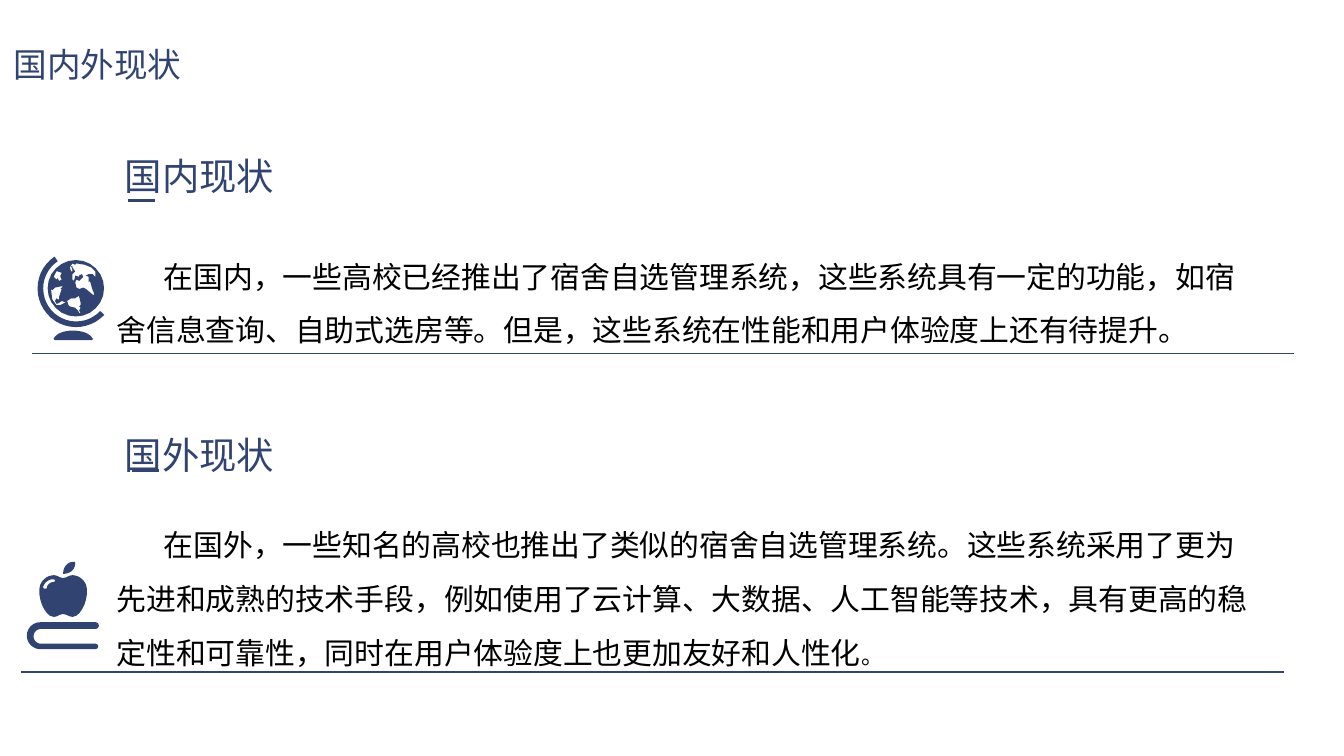
from math import cos, radians, sin
from typing import NamedTuple

from lxml import etree
from pptx import Presentation
from pptx.dml.color import RGBColor
from pptx.enum.shapes import MSO_CONNECTOR
from pptx.enum.text import MSO_ANCHOR, MSO_AUTO_SIZE, PP_ALIGN
from pptx.oxml.ns import qn
from pptx.util import Inches, Pt

STRAIGHT = MSO_CONNECTOR.STRAIGHT
TOP = MSO_ANCHOR.TOP
LEFT = PP_ALIGN.LEFT
NO_AUTOFIT = MSO_AUTO_SIZE.NONE
NAVY = RGBColor(0x30, 0x43, 0x71)
BLACK = RGBColor(0, 0, 0)
FONT = "Noto Sans CJK SC"
SLIDE_WIDTH = Inches(10)
SLIDE_HEIGHT = SLIDE_WIDTH * 9 // 16
TEXT_LEFT, TEXT_WIDTH = 0.77, 8.69
HEADING_LEFT = 0.83
RULE_WIDTH, ACCENT_WIDTH = 9.39, 0.2
FIRST_LINE_INDENT = 0.35


class Section(NamedTuple):
    """Content and vertical positions of one status section."""
    heading: str
    runs: list
    top: float
    accent: tuple
    body_top: float
    rule: tuple
    icon: list
    icon_at: tuple


def arc(centre, radius, start, end):
    """Return points along a circular arc, with angles in degrees."""
    angles = [radians(start + (end - start) * step / 24) for step in range(25)]
    return [(centre[0] + radius * cos(a), centre[1] + radius * sin(a)) for a in angles]


def curve(start, *segments):
    """Return points along joined cubic curves."""
    points = [start]
    for x1, y1, x2, y2, x3, y3 in segments:
        x0, y0 = points[-1]
        for step in range(1, 9):
            t = step / 8
            a, b, c, d = (1 - t) ** 3, 3 * t * (1 - t) ** 2, 3 * t * t * (1 - t), t ** 3
            points.append((a * x0 + b * x1 + c * x2 + d * x3,
                           a * y0 + b * y1 + c * y2 + d * y3))
    return points


def globe_contours():
    """Return the globe, its land masses and its stand in hundredths of an inch."""
    stand = arc((28.7, 24.7), 28.7, 43, 236) + arc((28.7, 24.7), 24.5, 236, 43)
    base = curve((41, 62), (42, 62, 41, 63, 40, 63), (31, 63, 22, 63, 13, 63),
                 (12, 63, 12, 62, 12, 62), (14, 58, 20, 56, 26, 56),
                 (33, 56, 39, 58, 41, 62))
    old_world = [(25, 12), (26, 12), (26, 11), (25, 8), (26, 8), (26, 9), (28, 12),
                 (27, 13), (26, 14), (26, 18), (27, 19), (28, 16), (28, 15), (31, 16),
                 (31, 15), (33, 14), (34, 16), (31, 19), (29, 18), (28, 20), (29, 24),
                 (31, 25), (34, 24), (36, 25), (42, 30), (42, 28), (41, 26), (39, 19),
                 (38, 20), (38, 16), (36, 15), (38, 14), (41, 14), (43, 16), (43, 12),
                 (40, 9), (35, 7), (29, 6), (28, 7), (26, 6), (24, 9)]
    south = [(22, 34), (23, 37), (24, 38), (28, 39), (30, 41), (31, 43), (32, 43),
             (31, 41), (32, 39), (31, 38), (32, 37), (32, 35), (31, 31), (31, 30),
             (28, 32), (25, 32)]
    west = [(17, 25), (18, 24), (19, 23), (18, 23), (13, 24), (11, 26), (10, 25),
            (11, 33), (14, 37), (17, 37), (21, 35), (18, 34), (15, 36), (14, 36),
            (13, 34), (14, 32), (16, 33), (16, 31), (18, 25)]
    north = [(14, 12), (12, 16), (14, 18), (15, 17), (16, 19), (18, 18), (17, 16),
             (17, 15), (18, 13), (15, 12)]
    return [stand, base, arc((28.5, 24.5), 21, 0, 360), old_world, south, west, north]


def apple_contours():
    """Return the apple on a book in hundredths of an inch."""
    book = (arc((10, 55), 10, 90, 270) + arc((51, 47.5), 2.5, -90, 90)
            + arc((10.5, 55.5), 5.5, 270, 90) + arc((51, 63), 2, -90, 90))
    leaf = curve((27, 9), (32, 9, 36, 6, 36, 1), (36, 0, 36, 0, 35, 0),
                 (30, 0, 27, 4, 27, 9))
    fruit = curve((44, 17), (42, 12, 37, 10, 34, 10), (31, 10, 30, 12, 27, 12),
                  (24, 12, 23, 10, 20, 10), (17, 10, 12, 12, 10, 17),
                  (7, 25, 13, 41, 20, 41), (23, 41, 24, 39, 27, 39),
                  (30, 39, 31, 41, 34, 41), (41, 41, 47, 25, 44, 17))
    shine = curve((20, 15), (18, 15, 15, 17, 15, 19), (15, 20, 13, 21, 12, 19),
                  (13, 15, 17, 13, 19, 13), (22, 13, 21, 15, 20, 15))
    return [book, leaf, fruit, shine]


def add_icon(slide, contours, left, top):
    """Draw the contours as one filled outline at the given corner."""
    placed = [[(left * 1000 + x * 10, top * 1000 + y * 10) for x, y in contour]
              for contour in contours]
    builder = slide.shapes.build_freeform(*placed[0][0], scale=914.4)
    builder.add_line_segments(placed[0][1:])
    for contour in placed[1:]:
        builder.move_to(*contour[0])
        builder.add_line_segments(contour[1:])
    shape = builder.convert_to_shape()
    shape.shadow.inherit = False
    shape.fill.solid()
    shape.fill.fore_color.rgb = NAVY
    shape.line.fill.background()


def add_line(slide, left, top, width, weight):
    """Draw a horizontal navy line."""
    line = slide.shapes.add_connector(
        STRAIGHT, Inches(left), Inches(top), Inches(left + width), Inches(top))
    line.line.color.rgb = NAVY
    line.line.width = Pt(weight)
    etree.SubElement(line._element.spPr, qn("a:effectLst"))


def write_text(shape, box, runs, size, color, wrap=False):
    """Place a text shape and fill its single paragraph."""
    shape.left, shape.top, shape.width, shape.height = map(Inches, box)
    frame = shape.text_frame
    frame.word_wrap = wrap
    frame.auto_size = NO_AUTOFIT
    frame.vertical_anchor = TOP
    paragraph = frame.paragraphs[0]
    paragraph.alignment = LEFT
    paragraph.font.name = FONT
    paragraph.font.size = Pt(size)
    paragraph.font.color.rgb = color
    default = paragraph._p.pPr.find(qn("a:defRPr"))
    etree.SubElement(default, qn("a:ea")).set("typeface", FONT)
    for text, run_size in runs:
        run = paragraph.add_run()
        run.text = text
        if run_size != size:
            run.font.size = Pt(run_size)
    return paragraph


def add_section(slide, section):
    """Build one section: heading, accent, body text, rule and icon."""
    add_line(slide, *section.rule, RULE_WIDTH, 1)
    heading = slide.shapes.add_textbox(0, 0, 0, 0)
    write_text(heading, (HEADING_LEFT, section.top, 1.32, 0.44),
               [(section.heading, 20)], 20, NAVY)
    body = slide.shapes.add_textbox(0, 0, 0, 0)
    box = (TEXT_LEFT, section.body_top, TEXT_WIDTH, section.rule[1] - section.body_top)
    paragraph = write_text(body, box, section.runs, 16, BLACK, wrap=True)
    paragraph.line_spacing = 1.5
    paragraph._p.pPr.set("indent", str(Inches(FIRST_LINE_INDENT)))
    add_line(slide, *section.accent, ACCENT_WIDTH, 1.5)
    add_icon(slide, section.icon, *section.icon_at)


def main():
    """Build and save the slide."""
    presentation = Presentation()
    presentation.slide_width, presentation.slide_height = SLIDE_WIDTH, SLIDE_HEIGHT
    slide = presentation.slides.add_slide(presentation.slide_layouts[5])
    write_text(slide.shapes.title, (0, 0.28, 1.46, 0.4), [("国内外现状", 18)], 18, NAVY)
    domestic = Section(
        "国内现状",
        [("在国内，一些高校已经推出了宿舍自选管理系统，这些系统具有一定的功能，如宿舍信息查询、"
          "自助式选房等。但是，这些系统在性能和用户体验度上还有待提升。", 16)],
        1.09, (0.95, 1.49), 1.74, (0.24, 2.63), globe_contours(), (0.28, 1.9))
    foreign = Section(
        "国外现状",
        [("在国外，一些知名的高校也推出了类似的宿舍自选管理系统。这些系统采用了更为先进和成熟的"
          "技术手段，例如使用了云计算、大数据、人工智能等技术，具有更高的稳定性和可靠性，"
          "同时在用户体验度上也更加友好和人性化", 16), ("。", 12)],
        3.17, (0.98, 3.5), 3.74, (0.16, 5), apple_contours(), (0.2, 4.18))
    for section in (domestic, foreign):
        add_section(slide, section)
    presentation.save("out.pptx")


if __name__ == "__main__":
    main()
